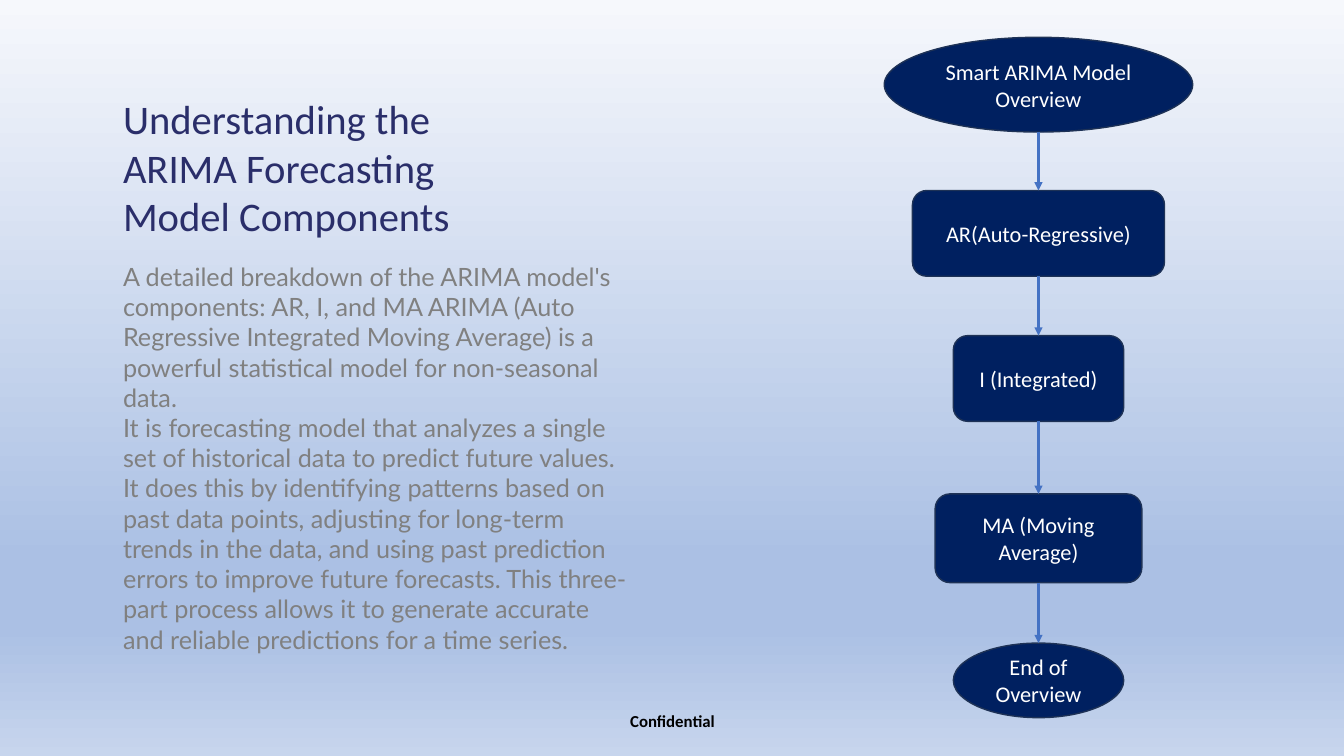
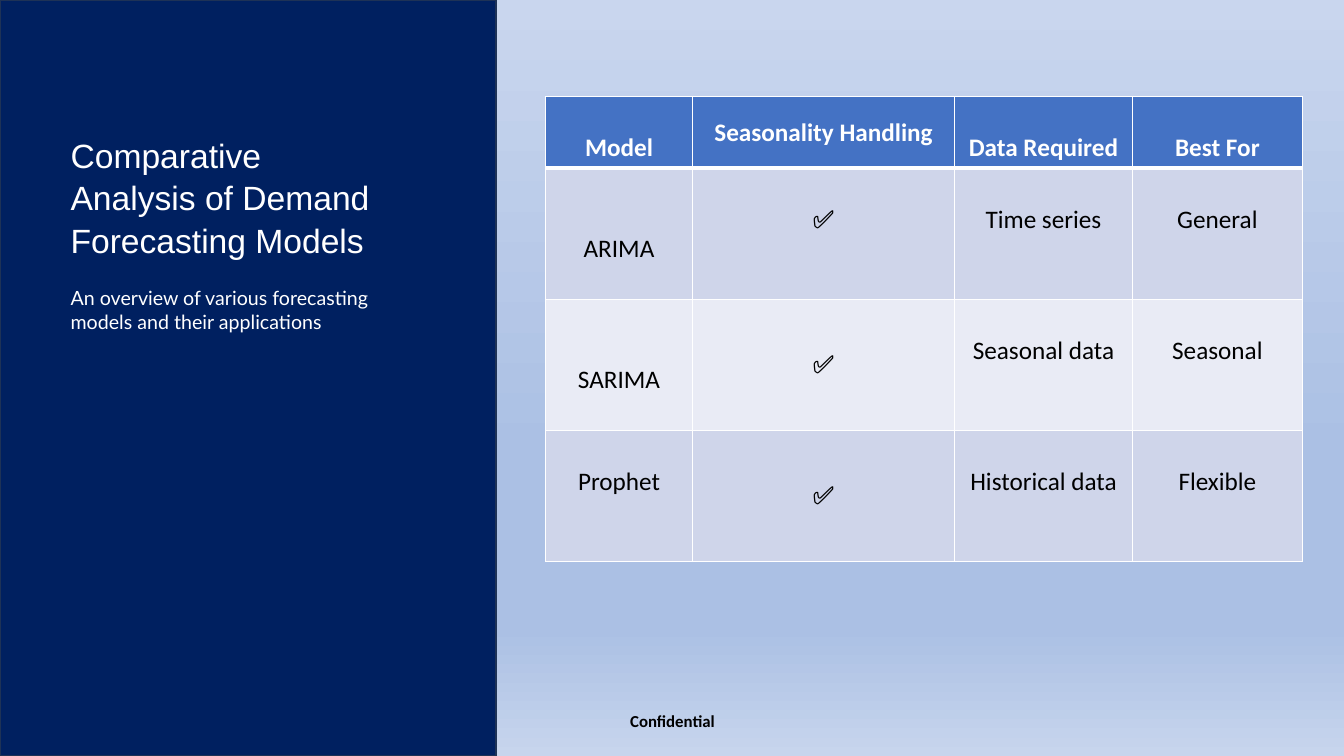
from lxml.etree import SubElement
from pptx import Presentation
from pptx.dml.color import RGBColor
from pptx.enum.shapes import MSO_CONNECTOR, MSO_SHAPE
from pptx.enum.text import MSO_ANCHOR, MSO_AUTO_SIZE, PP_ALIGN
from pptx.oxml.ns import qn
from pptx.util import Inches, Pt

NAVY = RGBColor(0x00, 0x20, 0x60)
EDGE = RGBColor(0x1E, 0x32, 0x56)
INDIGO = RGBColor(0x2A, 0x2E, 0x6A)
BLUE = RGBColor(0x44, 0x72, 0xC4)
GREY = RGBColor(0x80, 0x80, 0x80)
WHITE = RGBColor(0xFF, 0xFF, 0xFF)
BLACK = RGBColor(0x00, 0x00, 0x00)
BANDS = [RGBColor(0xCF, 0xD5, 0xEA), RGBColor(0xE9, 0xEB, 0xF5)]
FADE_END = [(83, RGBColor(0xAB, 0xC0, 0xE4)), (100, RGBColor(0xC7, 0xD5, 0xED))]
MID = RGBColor(0xAB, 0xC0, 0xE4)
PALE = RGBColor(0xF6, 0xF8, 0xFC)
HAZE = RGBColor(0xC9, 0xD6, 0xEE)

INTRO = [
    "A detailed breakdown of the ARIMA model's components: AR, I, and MA ARIMA "
    "(Auto Regressive Integrated Moving Average) is a powerful statistical model "
    "for non-seasonal data.",
    "It is forecasting model that analyzes a single set of historical data to "
    "predict future values. It does this by identifying patterns based on past "
    "data points, adjusting for long-term trends in the data, and using past "
    "prediction errors to improve future forecasts. This three-part process "
    "allows it to generate accurate and reliable predictions for a time series.",
]

# kind, top, width, height, text
STEPS = [
    (MSO_SHAPE.OVAL, 0, 3.06, 0.94, "Smart ARIMA Model Overview"),
    (MSO_SHAPE.ROUNDED_RECTANGLE, 1.52, 2.5, 0.85, "AR(Auto-Regressive)"),
    (MSO_SHAPE.ROUNDED_RECTANGLE, 2.96, 1.69, 0.85, "I (Integrated)"),
    (MSO_SHAPE.ROUNDED_RECTANGLE, 4.53, 2.05, 0.88, "MA (Moving Average)"),
    (MSO_SHAPE.OVAL, 6.01, 1.69, 0.74, "End of Overview"),
]

COLS = [1.46, 2.6, 1.76, 1.69]
ROWS = [0.71, 1.3, 1.3, 1.3]
MODELS = [
    ["Model", "Seasonality Handling", "Data Required", "Best For"],
    ["ARIMA", "✅", "Time series", "General"],
    ["SARIMA", "✅", "Seasonal data", "Seasonal"],
    ["Prophet", "✅", "Historical data", "Flexible"],
]
SINGLE = {(0, 1), (2, 1), (3, 1)}
MIDDLE = SINGLE | {(1, 0), (2, 0)}


def style(para, size, face, color, align=PP_ALIGN.LEFT, bold=False, gap=1.0):
    para.alignment = align
    para.line_spacing = gap
    para.space_before = Pt(0)
    font = para.font
    font.size, font.name, font.bold = Pt(size), face, bold
    font.color.rgb = color


def place(shape, left, top, width, height):
    shape.left, shape.top = Inches(left), Inches(top)
    shape.width, shape.height = Inches(width), Inches(height)


def fill_text(shape, box, lines, size, face, color, gap=1.0):
    """Move a placeholder to its box and give it plain, unbulleted text."""
    place(shape, *box)
    frame = shape.text_frame
    frame.text = "\n".join(lines)
    frame.word_wrap = True
    frame.auto_size = MSO_AUTO_SIZE.NONE
    frame.vertical_anchor = MSO_ANCHOR.TOP
    for para in frame.paragraphs:
        props = para._p.get_or_add_pPr()
        props.set("marL", "0")
        props.set("indent", "0")
        SubElement(props, qn("a:buNone"))
        style(para, size, face, color, gap=gap)


def backdrop(slide, stops):
    fill = slide.background.fill
    fill.gradient()
    fill.gradient_angle = 270
    ramp = slide.element.find(".//" + qn("a:gsLst"))
    for old in list(ramp):
        ramp.remove(old)
    for pos, color in stops:
        stop = SubElement(ramp, qn("a:gs"), pos=str(pos * 1000))
        SubElement(stop, qn("a:srgbClr"), val=str(color))


def footer(slide):
    box = slide.shapes.add_textbox(Inches(4.42), Inches(6.95), Inches(4.5), Inches(0.4))
    frame = box.text_frame
    frame.word_wrap = True
    frame.vertical_anchor = MSO_ANCHOR.MIDDLE
    frame.text = "Confidential"
    style(frame.paragraphs[0], 12, "Calibri", BLACK, PP_ALIGN.CENTER, True)


def new_slide(deck, stops):
    slide = deck.slides.add_slide(deck.slide_layouts[1])
    backdrop(slide, stops + FADE_END)
    footer(slide)
    return slide


def block(slide, kind, left, top, width, height):
    shape = slide.shapes.add_shape(
        kind, Inches(left), Inches(top), Inches(width), Inches(height))
    shape.shadow.inherit = False
    shape.fill.solid()
    shape.fill.fore_color.rgb = NAVY
    shape.line.color.rgb = EDGE
    shape.line.width = Pt(1)
    return shape


def arrow(slide, x, start, end):
    line = slide.shapes.add_connector(
        MSO_CONNECTOR.STRAIGHT, Inches(x), Inches(start), Inches(x), Inches(end))
    line.line.color.rgb = BLUE
    line.line.width = Pt(1.5)
    SubElement(line.line._get_or_add_ln(), qn("a:tailEnd"), type="triangle")
    SubElement(line._element.spPr, qn("a:effectLst"))


def flow(slide, left, top, width):
    """Stack the steps on the middle line of the box, joined by arrows."""
    axis = left + width / 2
    last = None
    for kind, drop, wide, high, text in STEPS:
        y = top + drop
        shape = block(slide, kind, axis - wide / 2, y, wide, high)
        frame = shape.text_frame
        frame.word_wrap = True
        frame.vertical_anchor = MSO_ANCHOR.MIDDLE
        frame.text = text
        style(frame.paragraphs[0], 16, "Calibri", WHITE, PP_ALIGN.CENTER)
        if last is not None:
            arrow(slide, axis, last, y)
        last = y + high


def border(cell, row):
    props = cell._tc.get_or_add_tcPr()
    thick = {"T": 3 if row == 1 else 1, "B": 3 if row == 0 else 1}
    for spot, side in enumerate("LRTB"):
        line = SubElement(props, qn("a:ln" + side), w=str(Pt(thick.get(side, 1))))
        paint = SubElement(line, qn("a:solidFill"))
        SubElement(paint, qn("a:srgbClr"), val=str(WHITE))
        props.insert(spot, line)


def grid(slide, left, top):
    table = slide.shapes.add_table(
        len(ROWS), len(COLS), Inches(left), Inches(top),
        Inches(sum(COLS)), Inches(sum(ROWS))).table
    for col, width in zip(table.columns, COLS):
        col.width = Inches(width)
    for r, texts in enumerate(MODELS):
        table.rows[r].height = Inches(ROWS[r])
        head = r == 0
        for c, text in enumerate(texts):
            cell = table.cell(r, c)
            cell.text = text
            cell.fill.solid()
            cell.fill.fore_color.rgb = BLUE if head else BANDS[(r - 1) % 2]
            cell.vertical_anchor = (
                MSO_ANCHOR.MIDDLE if (r, c) in MIDDLE else MSO_ANCHOR.TOP)
            style(cell.text_frame.paragraphs[0], 18, "Calibri",
                  WHITE if head else BLACK, PP_ALIGN.CENTER, head,
                  1.0 if (r, c) in SINGLE else 2.0)
            border(cell, r)


def arima(deck):
    slide = new_slide(deck, [(0, PALE), (74, MID)])
    title, body = slide.placeholders
    fill_text(title, (1.12, 0.88, 3.66, 1.57),
              ["Understanding the ARIMA Forecasting Model Components"],
              29, "Calibri", INDIGO)
    fill_text(body, (1.12, 2.54, 5.24, 4.04), INTRO, 18, "Lato", GREY)
    flow(slide, 8.77, 0.37, 3.06)


def compare(deck):
    slide = new_slide(deck, [(0, HAZE), (60, MID)])
    title, body = slide.placeholders
    panel = block(slide, MSO_SHAPE.RECTANGLE, 0, 0, 4.92, 7.5)
    slide.shapes._spTree.insert(2, panel._element)
    fill_text(title, (0.6, 1.27, 3.39, 1.31),
              ["Comparative Analysis of Demand Forecasting Models"],
              24, "Arial", WHITE, 1.05)
    fill_text(body, (0.6, 2.79, 3.39, 0.57),
              ["An overview of various forecasting models and their applications"],
              14, "Lato", WHITE)
    grid(slide, 5.41, 0.96)


def main():
    deck = Presentation()
    deck.slide_width, deck.slide_height = Inches(13.33), Inches(7.5)
    arima(deck)
    compare(deck)
    deck.save("out.pptx")


if __name__ == "__main__":
    main()
